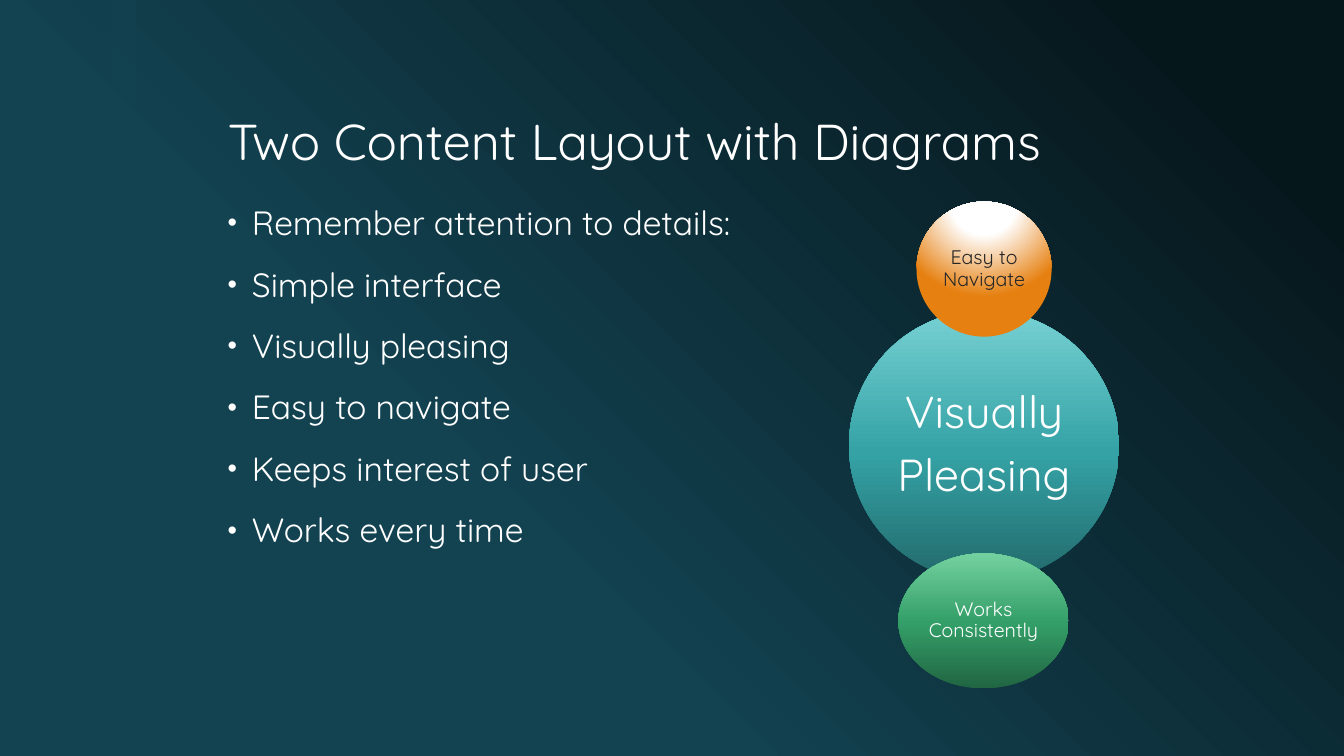
from lxml.etree import SubElement
from pptx import Presentation
from pptx.dml.color import RGBColor
from pptx.enum.shapes import MSO_SHAPE
from pptx.enum.text import MSO_ANCHOR, PP_ALIGN
from pptx.oxml.ns import qn
from pptx.util import Inches, Pt

FONT = "Quicksand"
COLORS = {"night": "06171C", "petrol": "134251", "white": "FFFFFF", "ink": "262626"}
BACKGROUND = [(10, COLORS["night"]), (65, COLORS["petrol"]), (100, COLORS["petrol"])]
TEAL = [(0, "22696B"), (48, "35A3A6"), (100, "77D1D3")]
ORANGE = [(0, "FFFFFF"), (35, "FFFFFF"), (100, "E68010")]
GREEN = [(0, "216542"), (48, "339E67"), (100, "73D1A0")]
BULLETS = [
    "Remember attention to details:",
    "Simple interface",
    "Visually pleasing",
    "Easy to navigate",
    "Keeps interest of user",
    "Works every time",
]
CIRCLES = [
    ((0, 1.08, 2.68, 2.68), TEAL, 270, "Visually\nPleasing", 32, "white", 0.04),
    ((0.67, 0, 1.34, 1.34), ORANGE, None, "Easy to Navigate", 14, "ink", 0.02),
    ((0.49, 3.49, 1.69, 1.34), GREEN, 270, "Works Consistently", 14, "white", 0.02),
]


def set_gradient(fill, owner, stops, angle):
    fill.gradient()
    grad = next(owner.iter(qn("a:gradFill")))
    for child in list(grad):
        grad.remove(child)
    gs_list = SubElement(grad, qn("a:gsLst"))
    for position, color in stops:
        gs = SubElement(gs_list, qn("a:gs"), pos=str(position * 1000))
        SubElement(gs, qn("a:srgbClr"), val=color)
    if angle is None:
        circle = SubElement(grad, qn("a:path"), path="circle")
        SubElement(circle, qn("a:fillToRect"), l="50000", t="-80000", r="50000", b="180000")
    else:
        SubElement(grad, qn("a:lin"), ang=str(angle * 60000), scaled="0")


def format_paragraph(p, size, color, align=PP_ALIGN.LEFT):
    p.alignment = align
    p.line_spacing = 0.9
    for r in p.runs:
        r.font.name = FONT
        r.font.size = Pt(size)
        r.font.color.rgb = RGBColor.from_string(COLORS[color])


def add_backdrop(s, left, top, width, height):
    set_gradient(s.background.fill, s.element, BACKGROUND, 135)
    bar = s.shapes.add_shape(
        MSO_SHAPE.RECTANGLE, Inches(left), Inches(top), Inches(width), Inches(height))
    bar.shadow.inherit = False
    bar.line.fill.background()
    bar.fill.solid()
    bar.fill.fore_color.rgb = RGBColor.from_string(COLORS["petrol"])
    color = next(bar.element.spPr.iter(qn("a:srgbClr")))
    SubElement(color, qn("a:alpha"), val="60000")


def add_title(s, left, top, width, height):
    title = s.shapes.title
    title.left, title.top = Inches(left), Inches(top)
    title.width, title.height = Inches(width), Inches(height)
    tf = title.text_frame
    tf.text = "Two Content Layout with Diagrams"
    tf.word_wrap = True
    tf.vertical_anchor = MSO_ANCHOR.BOTTOM
    format_paragraph(tf.paragraphs[0], 36, "white")


def add_bullets(s, left, top, width, height):
    box = s.shapes.add_textbox(Inches(left), Inches(top), Inches(width), Inches(height))
    tf = box.text_frame
    tf.word_wrap = True
    tf.text = "\n".join(BULLETS)
    for p in tf.paragraphs:
        format_paragraph(p, 24, "white")
        p.space_before = Pt(18)
        pPr = p._p.get_or_add_pPr()
        pPr.set("marL", str(Inches(0.24)))
        pPr.set("indent", str(-Inches(0.24)))
        SubElement(pPr, qn("a:buSzPct"), val="80000")
        SubElement(pPr, qn("a:buFont"), typeface="Arial")
        SubElement(pPr, qn("a:buChar"), char="•")


def add_circles(s, left, top):
    group = s.shapes.add_group_shape()
    for (x, y, width, height), stops, angle, text, size, color, inset in CIRCLES:
        sp = group.shapes.add_shape(
            MSO_SHAPE.OVAL, Inches(left + x), Inches(top + y), Inches(width), Inches(height))
        sp.shadow.inherit = False
        sp.line.fill.background()
        set_gradient(sp.fill, sp.element.spPr, stops, angle)
        tf = sp.text_frame
        tf.word_wrap = True
        tf.vertical_anchor = MSO_ANCHOR.MIDDLE
        tf.margin_left = tf.margin_right = tf.margin_top = tf.margin_bottom = Inches(inset)
        tf.text = text
        for p in tf.paragraphs:
            format_paragraph(p, size, color, PP_ALIGN.CENTER)
            p.space_after = Pt(round(size * 0.35))


def main():
    prs = Presentation()
    prs.slide_width, prs.slide_height = Inches(13.33), Inches(7.5)
    s = prs.slides.add_slide(prs.slide_layouts[5])
    add_backdrop(s, 1.1, 0, 0.25, 7.5)
    add_title(s, 2.16, 0.42, 10, 1.33)
    add_bullets(s, 2.16, 2, 5.92, 4.83)
    add_circles(s, 8.42, 2)
    prs.save("out.pptx")


if __name__ == "__main__":
    main()
